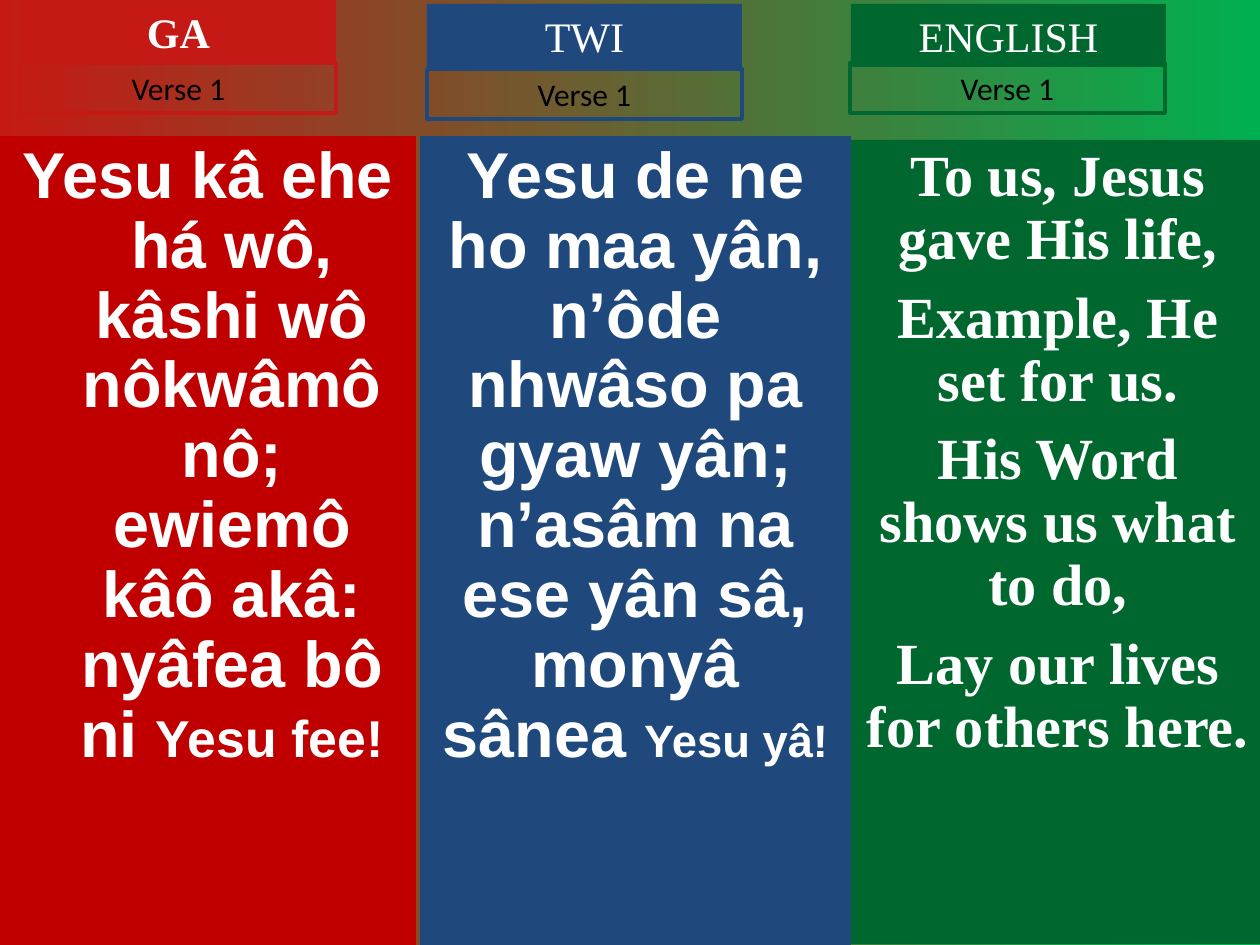
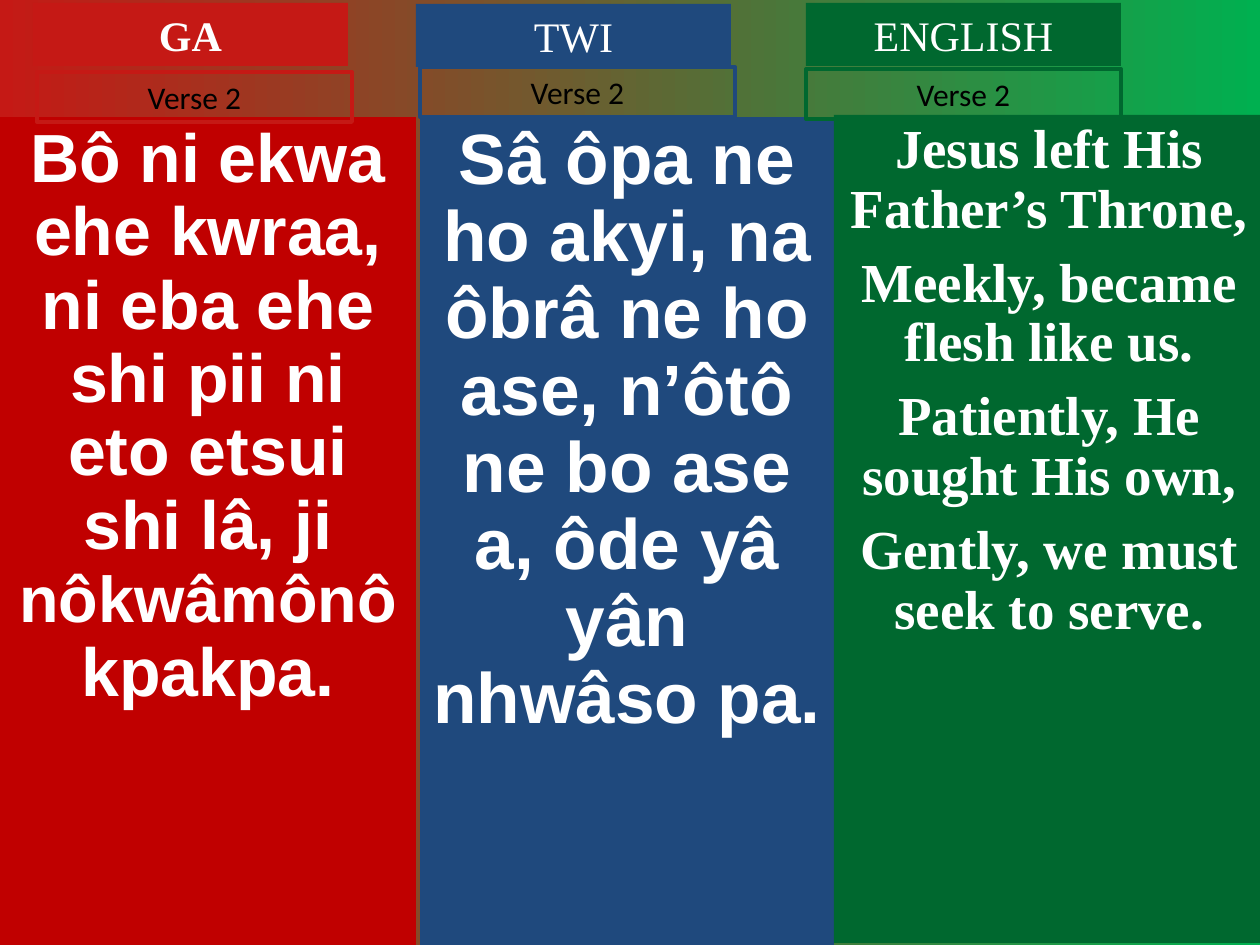
import pptx
import pptx.dml.color
import pptx.enum.shapes
import pptx.enum.text
import pptx.util
from lxml import etree

SCALE = 914400 / 126
COLORS = {
    "red": "C00000",
    "scarlet": "C51915",
    "blue": "1F497D",
    "green": "00682F",
    "bright_green": "00B050",
    "white": "FFFFFF",
    "black": "000000",
}
LANGUAGES = [
    {"name": "GA", "panel": "red", "tag": "scarlet", "font": "Arial", "bold": True},
    {"name": "TWI", "panel": "blue", "tag": "blue", "font": "Arial", "bold": False},
    {"name": "ENGLISH", "panel": "green", "tag": "green", "font": "Times New Roman", "bold": False},
]
TAG_WIDTH, HEADING_HEIGHT, VERSE_HEIGHT = 315, 63, 50

VERSES = [
    {
        "label": "Verse 1",
        "columns": [
            {
                "panel": (0, 136, 416, 809), "heading": (21, 0), "verse": (21, 63), "hanging": 48,
                "lyrics": [[
                    ("Yesu kâ ehe há wô, kâshi wô nôkwâmô nô; ewiemô kâô akâ: nyâfea bô ni ", 37),
                    ("Yesu fee!", 29.6),
                ]],
            },
            {
                "panel": (420, 136, 431, 809), "heading": (427, 4), "verse": (427, 69),
                "lyrics": [[
                    ("Yesu de ne ho maa yân, n’ôde nhwâso pa gyaw yân; n’asâm na ese yân sâ, monyâ sânea ", 37),
                    ("Yesu yâ!", 25.9),
                ]],
            },
            {
                "panel": (851, 140, 414, 804), "heading": (851, 4), "verse": (850, 63), "space": 9,
                "lyrics": [
                    [("To us, Jesus gave His life,", 33.3)],
                    [("Example, He set for us.", 33.3)],
                    [("His Word shows us what to do,", 33.3)],
                    [("Lay our lives for others here.", 33.3)],
                ],
            },
        ],
    },
    {
        "label": "Verse 2",
        "columns": [
            {
                "panel": (0, 117, 416, 828), "heading": (33, 3), "verse": (37, 72),
                "lyrics": [[
                    ("Bô ni ekwa ehe kwraa, ni eba ehe shi pii ni eto etsui shi lâ, ji ", 38.9),
                    ("nôkwâmônô", 37),
                    (" kpakpa.", 38.9),
                ]],
            },
            {
                "panel": (420, 117, 414, 828), "heading": (416, 4), "verse": (420, 67),
                "lyrics": [[
                    ("Sâ ôpa ne ho akyi, na ôbrâ ne ho ase, n’ôtô ne bo ase a, ôde yâ yân nhwâso pa.", 40.7),
                ]],
            },
            {
                "panel": (834, 115, 431, 828), "heading": (806, 3), "verse": (806, 69), "space": 8.5,
                "lyrics": [
                    [("Jesus left His Father’s Throne,", 31.4)],
                    [("Meekly, became flesh like us.", 31.4)],
                    [("Patiently, He sought His own,", 31.4)],
                    [("Gently, we must seek to serve.", 31.4)],
                ],
            },
        ],
    },
]


def px(length):
    return pptx.util.Emu(round(length * SCALE))


def rgb(color):
    return pptx.dml.color.RGBColor.from_string(COLORS[color])


def set_values(target, values):
    for name, value in values.items():
        setattr(target, name, value)


def place_box(slide, box, placeholder=None, fill=None, line=None):
    left, top, width, height = map(px, box)
    shape = placeholder
    if shape is None:
        rectangle = pptx.enum.shapes.MSO_SHAPE.RECTANGLE
        shape = slide.shapes.add_shape(rectangle, left, top, width, height)
        shape.shadow.inherit = False
    else:
        set_values(shape, {"left": left, "top": top, "width": width, "height": height})
    if fill:
        shape.fill.solid()
        shape.fill.fore_color.rgb = rgb(fill)
    else:
        shape.fill.background()
    if line:
        shape.line.color.rgb = rgb(line)
        shape.line.width = pptx.util.Pt(2.25)
    else:
        shape.line.fill.background()
    return shape


def write_text(shape, paragraphs, font, color, bold, spacing=1.0, space=0, hanging=0):
    frame = shape.text_frame
    set_values(frame, {
        "word_wrap": True,
        "auto_size": pptx.enum.text.MSO_AUTO_SIZE.NONE,
        "vertical_anchor": pptx.enum.text.MSO_ANCHOR.TOP,
    })
    for index, runs in enumerate(paragraphs):
        paragraph = frame.add_paragraph() if index else frame.paragraphs[0]
        set_values(paragraph, {
            "alignment": pptx.enum.text.PP_ALIGN.CENTER,
            "line_spacing": spacing,
            "space_before": pptx.util.Pt(space if index else 0),
        })
        properties = paragraph._p.get_or_add_pPr()
        properties.set("marL", str(px(hanging)))
        properties.set("indent", str(px(-hanging)))
        etree.SubElement(properties, pptx.oxml.ns.qn("a:buNone"))
        for text, size in runs:
            run = paragraph.add_run()
            run.text = text
            set_values(run.font, {"name": font, "size": pptx.util.Pt(size), "bold": bold})
            run.font.color.rgb = rgb(color)


def add_column(slide, language, column, label, panel_holder, heading_holder):
    panel = place_box(slide, column["panel"], panel_holder, fill=language["panel"])
    write_text(panel, column["lyrics"], language["font"], "white", True, 0.9,
               column.get("space", 0), column.get("hanging", 0))
    heading = place_box(slide, (*column["heading"], TAG_WIDTH, HEADING_HEIGHT),
                        heading_holder, fill=language["tag"])
    write_text(heading, [[(language["name"], 24)]], "Times New Roman", "white", language["bold"])
    verse = place_box(slide, (*column["verse"], TAG_WIDTH, VERSE_HEIGHT), line=language["tag"])
    write_text(verse, [[(label, 18)]], "Calibri", "black", False)


def paint_background(slide):
    fill = slide.background.fill
    fill.gradient()
    fill.gradient_angle = 0
    for stop, color in zip(fill.gradient_stops, ("scarlet", "bright_green")):
        stop.color.rgb = rgb(color)


def add_verse_slide(presentation, verse):
    slide = presentation.slides.add_slide(presentation.slide_layouts.get_by_name("Two Content"))
    paint_background(slide)
    title, first_body, second_body = slide.placeholders
    panel_holders = (first_body, second_body, None)
    heading_holders = (title, None, None)
    for parts in zip(LANGUAGES, verse["columns"], panel_holders, heading_holders):
        language, column, panel_holder, heading_holder = parts
        add_column(slide, language, column, verse["label"], panel_holder, heading_holder)


def main():
    presentation = pptx.Presentation()
    presentation.slide_width = px(1260)
    presentation.slide_height = px(945)
    for verse in VERSES:
        add_verse_slide(presentation, verse)
    presentation.save("out.pptx")


if __name__ == "__main__":
    main()
